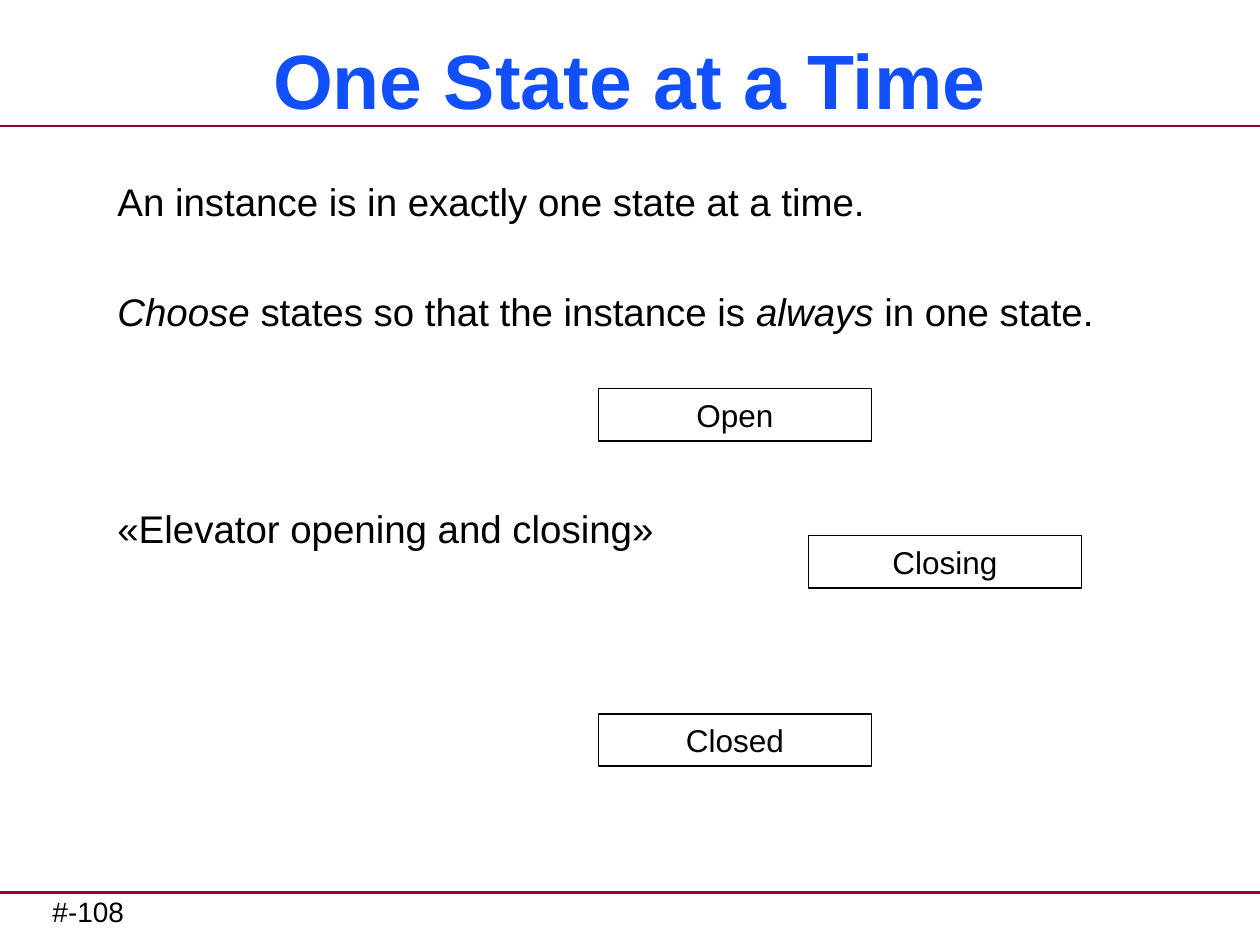
from dataclasses import dataclass

from lxml import etree
from pptx import Presentation
from pptx.dml.color import RGBColor
from pptx.enum.shapes import MSO_CONNECTOR, MSO_SHAPE
from pptx.enum.text import MSO_ANCHOR, PP_ALIGN
from pptx.oxml.ns import qn
from pptx.util import Pt

STRAIGHT = MSO_CONNECTOR.STRAIGHT
RECTANGLE = MSO_SHAPE.RECTANGLE
MIDDLE, TOP = MSO_ANCHOR.MIDDLE, MSO_ANCHOR.TOP
CENTER, LEFT = PP_ALIGN.CENTER, PP_ALIGN.LEFT
TITLE_ONLY = 5
PAGE_WIDTH, PAGE_HEIGHT = 720, 540


@dataclass(frozen=True)
class Theme:
    font: str = "Arial"
    title_color: RGBColor = RGBColor(0x11, 0x4F, 0xFB)
    rule_color: RGBColor = RGBColor(0x95, 0x07, 0x28)
    ink: RGBColor = RGBColor(0, 0, 0)
    title_size: int = 44
    body_size: int = 22
    state_size: int = 18
    footer_size: int = 16


THEME = Theme()

# Space before each statement, then its (text, italic) spans
STATEMENTS = [
    (0, [("An instance is in exactly one state at a time.", False)]),
    (36.4, [("Choose ", True), ("states so that the instance is ", False),
            ("always ", True), ("in one state.", False)]),
    (97.6, [("«Elevator opening and closing»", False)]),
]
# Name, left and top of each state box
STATES = [("Open", 342, 222), ("Closing", 462, 306), ("Closed", 342, 408)]


def style_font(font, size, color=THEME.ink, bold=False, italic=False):
    font.name = THEME.font
    font.size = Pt(size)
    font.bold = bold
    font.italic = italic
    font.color.rgb = color


def set_frame(frame, anchor, side=7.2, top=3.6):
    frame.word_wrap = True
    frame.vertical_anchor = anchor
    frame.margin_left = frame.margin_right = Pt(side)
    frame.margin_top, frame.margin_bottom = Pt(top), Pt(3.6)


def add_rule(page, y):
    rule = page.shapes.add_connector(STRAIGHT, 0, Pt(y), Pt(PAGE_WIDTH), Pt(y))
    rule.line.color.rgb = THEME.rule_color
    rule.line.width = Pt(1.5)
    etree.SubElement(rule._element.spPr, qn("a:effectLst"))


def set_title(page, text):
    title = page.shapes.title
    title.left, title.top = Pt(12), Pt(18)
    title.width, title.height = Pt(696), Pt(54)
    frame = title.text_frame
    set_frame(frame, MIDDLE)
    frame.text = text
    para = frame.paragraphs[0]
    para.alignment = CENTER
    style_font(para.runs[0].font, THEME.title_size, THEME.title_color, bold=True)


def add_statements(page, statements):
    box = page.shapes.add_textbox(Pt(60), Pt(96), Pt(636), Pt(402))
    frame = box.text_frame
    set_frame(frame, TOP, top=5.6)
    for index, (gap, spans) in enumerate(statements):
        para = frame.add_paragraph() if index else frame.paragraphs[0]
        para.alignment = LEFT
        if gap:
            para.space_before = Pt(gap)
        for text, italic in spans:
            span = para.add_run()
            span.text = text
            style_font(span.font, THEME.body_size, italic=italic)


def add_state(page, name, left, top):
    state = page.shapes.add_shape(RECTANGLE, Pt(left), Pt(top), Pt(156), Pt(30))
    state.shadow.inherit = False
    state.fill.background()
    state.line.color.rgb = THEME.ink
    state.line.width = Pt(1)
    frame = state.text_frame
    set_frame(frame, MIDDLE)
    frame.text = name
    para = frame.paragraphs[0]
    para.alignment = CENTER
    style_font(para.runs[0].font, THEME.state_size)


def add_footer(page, text):
    box = page.shapes.add_textbox(Pt(30), Pt(507.6), Pt(348), Pt(26.6))
    frame = box.text_frame
    set_frame(frame, TOP, side=0)
    frame.text = text
    style_font(frame.paragraphs[0].runs[0].font, THEME.footer_size)


def main():
    deck = Presentation()
    deck.slide_width, deck.slide_height = Pt(PAGE_WIDTH), Pt(PAGE_HEIGHT)
    page = deck.slides.add_slide(deck.slide_layouts[TITLE_ONLY])

    # Page frame: rules and page number
    for y in (72, 510):
        add_rule(page, y)
    add_footer(page, "#-108")

    # Title and statements
    set_title(page, "One State at a Time")
    add_statements(page, STATEMENTS)

    # Elevator states
    for name, left, top in STATES:
        add_state(page, name, left, top)

    deck.save("out.pptx")


if __name__ == "__main__":
    main()
